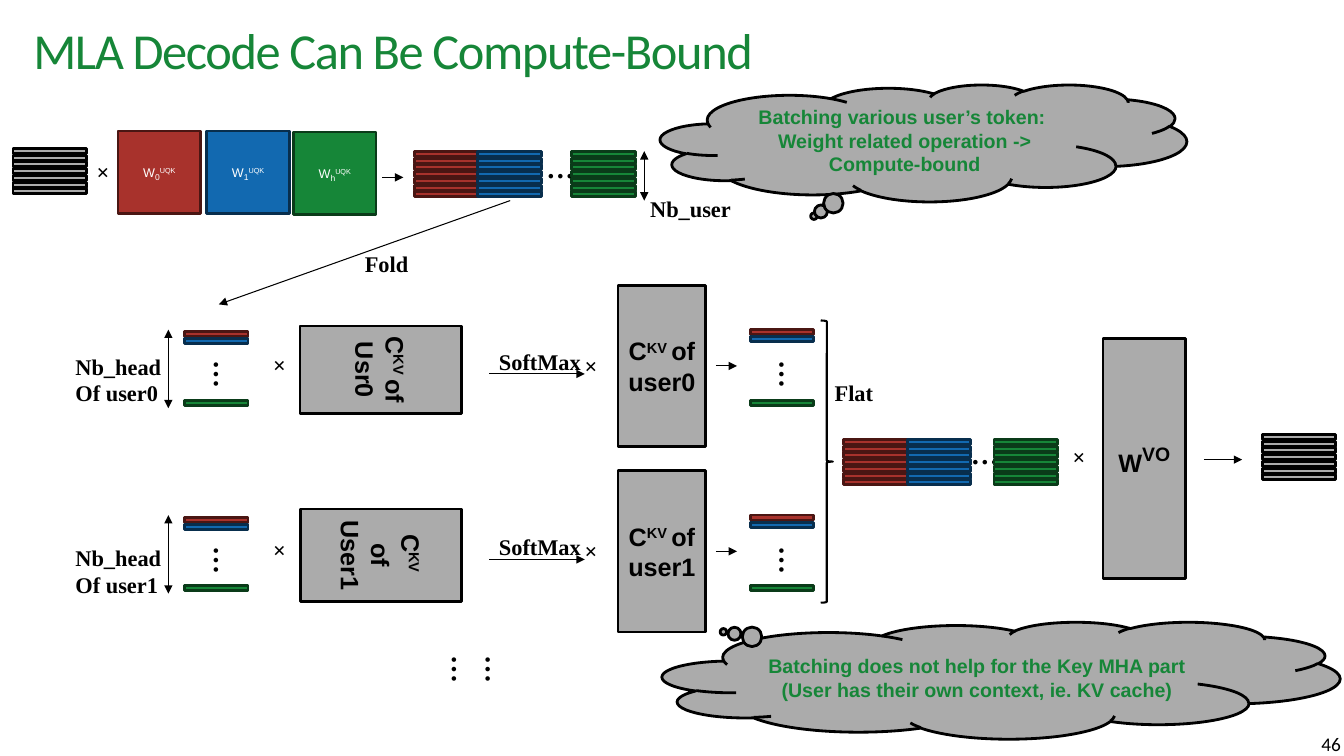
"""Builds the slide on compute-bound MLA decoding."""
from dataclasses import dataclass

from lxml import etree
from pptx import Presentation
from pptx.dml.color import RGBColor
from pptx.enum.shapes import MSO_CONNECTOR, MSO_SHAPE
from pptx.enum.text import MSO_ANCHOR, MSO_AUTO_SIZE, PP_ALIGN
from pptx.oxml.ns import qn
from pptx.util import Emu, Pt

RECTANGLE = MSO_SHAPE.RECTANGLE
CLOUD = MSO_SHAPE.CLOUD_CALLOUT
BRACE = MSO_SHAPE.RIGHT_BRACE
STRAIGHT = MSO_CONNECTOR.STRAIGHT
LEFT, CENTER, RIGHT = PP_ALIGN.LEFT, PP_ALIGN.CENTER, PP_ALIGN.RIGHT
TOP, MIDDLE, BOTTOM = MSO_ANCHOR.TOP, MSO_ANCHOR.MIDDLE, MSO_ANCHOR.BOTTOM
NO_AUTOFIT = MSO_AUTO_SIZE.NONE

EMU_PER_PX = 9144
SERIF, SANS, TITLE_FONT = "Times New Roman", "Arial", "Calibri"
COLORS = {
    "black": "000000", "white": "FFFFFF",
    "gray": "ABABAB", "gray edge": "000000",
    "red": "A8322C", "red edge": "4A1613",
    "blue": "1269B0", "blue edge": "082E4D",
    "green": "168638", "green edge": "0A3B19",
}
TOKEN_ROWS, ROW_PITCH = 7, 6.7
BAR_HEIGHT, HEAD_WIDTH, TOKEN_WIDTH = 5, 63, 73


@dataclass(frozen=True)
class Frame:
    """A rectangle in px."""
    left: int
    top: int
    width: int
    height: int


@dataclass(frozen=True)
class Span:
    """A stretch of text with its own size or baseline shift in percent."""
    text: str
    size: float | None = None
    baseline: int = 0


@dataclass(frozen=True)
class Stack:
    """A column of equal bars, one for each token."""
    left: int
    top: int
    width: int
    color: str


@dataclass(frozen=True)
class Weight:
    """A coloured weight matrix."""
    left: int
    top: int
    index: str
    color: str


@dataclass(frozen=True)
class UserRow:
    """The attention steps of one user."""
    top: int
    label_top: int
    label: str
    key_frame: Frame
    key_text: list
    value_name: str


STACKS = [
    Stack(13, 147, TOKEN_WIDTH, "gray"),
    Stack(411, 150, HEAD_WIDTH, "red"),
    Stack(474, 150, HEAD_WIDTH, "blue"),
    Stack(567, 150, HEAD_WIDTH, "green"),
    Stack(837, 436, HEAD_WIDTH, "red"),
    Stack(900, 436, HEAD_WIDTH, "blue"),
    Stack(986, 436, HEAD_WIDTH, "green"),
    Stack(1252, 431, TOKEN_WIDTH, "gray"),
]
WEIGHTS = [
    Weight(117, 130, "0", "red"),
    Weight(205, 130, "1", "blue"),
    Weight(291, 131, "h", "green"),
]
USER_ROWS = [
    UserRow(283, 345, "Nb_head\nOf user0", Frame(334, 287, 87, 160),
            [[Span("C"), Span("KV ", baseline=30), Span("of Usr0")]], "of user0"),
    UserRow(467, 535, "Nb_head\nOf user1", Frame(332, 471, 92, 160),
            [[Span("C"), Span("KV ", baseline=30)], [Span("of User1")]], "of user1"),
]


def px(length: float) -> Emu:
    """Turn px into EMU."""
    return Emu(round(length * EMU_PER_PX))


def write(shape, text, *, size=16, font=SERIF, color="black", bold=True,
          align=LEFT, anchor=TOP) -> None:
    """Fill a shape with plain text or with paragraphs of spans."""
    paragraphs = [[Span(row)] for row in text.split("\n")] if isinstance(text, str) else text
    frame = shape.text_frame
    frame.word_wrap = True
    frame.vertical_anchor = anchor
    for number, spans in enumerate(paragraphs):
        para = frame.add_paragraph() if number else frame.paragraphs[0]
        para.alignment = align
        for span in spans:
            run = para.add_run()
            run.text = span.text
            run.font.size = Pt(span.size or size)
            run.font.name = font
            run.font.bold = bold
            run.font.color.rgb = RGBColor.from_string(COLORS[color])
            if span.baseline:
                run.font._element.set("baseline", str(span.baseline * 1000))


def add_label(page, frame: Frame, text: str, *, rotation: int = 0, **style):
    """Add a text box."""
    box = page.shapes.add_textbox(px(frame.left), px(frame.top), px(frame.width), px(frame.height))
    box.rotation = rotation
    write(box, text, **style)
    return box


def add_block(page, frame: Frame, color: str, *, kind=RECTANGLE, rotation: int = 0):
    """Add a filled and outlined shape."""
    shape = page.shapes.add_shape(kind, px(frame.left), px(frame.top),
                                  px(frame.width), px(frame.height))
    shape.shadow.inherit = False
    shape.rotation = rotation
    shape.fill.solid()
    shape.fill.fore_color.rgb = RGBColor.from_string(COLORS[color])
    shape.line.color.rgb = RGBColor.from_string(COLORS[f"{color} edge"])
    shape.line.width = Pt(2)
    return shape


def add_arrow(page, x1: int, y1: int, x2: int, y2: int, *, double: bool = False) -> None:
    """Add a thin arrow, with a head at both ends if double."""
    arrow = page.shapes.add_connector(STRAIGHT, px(x1), px(y1), px(x2), px(y2))
    arrow.line.color.rgb = RGBColor.from_string(COLORS["black"])
    arrow.line.width = Pt(0.75)
    line = arrow.line._get_or_add_ln()
    for end in ("a:headEnd", "a:tailEnd") if double else ("a:tailEnd",):
        etree.SubElement(line, qn(end), type="triangle")
    etree.SubElement(arrow._element.spPr, qn("a:effectLst"))


def add_title(page, text: str) -> None:
    """Place and format the title placeholder."""
    title = page.shapes.title
    title.left, title.top, title.width, title.height = px(33), px(19), px(1273), px(68)
    write(title, text, size=36, font=TITLE_FONT, color="green", bold=False, anchor=MIDDLE)
    frame = title.text_frame
    frame.auto_size = NO_AUTOFIT
    frame.margin_left = frame.margin_right = frame.margin_top = frame.margin_bottom = 0
    para = frame.paragraphs[0]
    para.line_spacing = 0.9
    para.runs[0].font._element.set("spc", "-100")


def add_times(page, left: int, top: int) -> None:
    """Add a multiplication sign."""
    add_label(page, Frame(left, top, 32, 37), "×")


def add_dots(page, left: int, top: int, *, rotation: int = 0) -> None:
    """Add an ellipsis."""
    add_label(page, Frame(left, top, 48, 44), "…", size=20, rotation=rotation)


def add_heads(page, left: int, top: int, last_top: int) -> None:
    """Add the folded heads of one user: two bars, dots and the last bar."""
    for color, bar_top in (("red", top), ("blue", top + 7), ("green", last_top)):
        add_block(page, Frame(left, bar_top, HEAD_WIDTH, BAR_HEIGHT), color)
    add_dots(page, left + 16, last_top - 47, rotation=90)


def add_user_row(page, row: UserRow) -> None:
    """Add the attention steps of one user."""
    top = row.top
    add_label(page, Frame(65, row.label_top, 141, 64), row.label)
    add_arrow(page, 167, top + 44, 167, top + 122, double=True)
    add_heads(page, 183, top + 46, top + 114)
    add_times(page, 261, top + 60)
    key = add_block(page, row.key_frame, "gray", rotation=90)
    write(key, row.key_text, size=18, font=SANS, align=CENTER, anchor=MIDDLE)
    add_arrow(page, 485, top + 88, 580, top + 88)
    add_label(page, Frame(485, top + 57, 141, 37), "SoftMax")
    add_times(page, 570, top + 61)
    value = add_block(page, Frame(613, top, 87, 160), "gray")
    write(value, [[Span("C"), Span("KV ", baseline=30), Span(row.value_name)]],
          size=18, font=SANS, align=CENTER, anchor=MIDDLE)
    add_arrow(page, 710, top + 80, 731, top + 80)
    add_heads(page, 744, top + 44, top + 114)


def add_projections(page) -> None:
    """Add the weights, the token stacks and the arrows between them."""
    add_dots(page, 532, 144)
    add_dots(page, 953, 428)
    for stack in STACKS:
        for row in range(TOKEN_ROWS):
            bar_top = stack.top + round(row * ROW_PITCH)
            add_block(page, Frame(stack.left, bar_top, stack.width, BAR_HEIGHT), stack.color)
    for weight in WEIGHTS:
        block = add_block(page, Frame(weight.left, weight.top, 82, 82), weight.color)
        write(block, [[Span("W"), Span(weight.index, 10.5, -25), Span("UQK", baseline=30)]],
              size=9, font=SANS, color="white", bold=False, align=CENTER, anchor=MIDDLE)
    output = add_block(page, Frame(1094, 336, 82, 238), "gray")
    write(output, [[Span("W"), Span("VO", 24, 30)]], size=18, font=SANS,
          align=CENTER, anchor=MIDDLE)
    add_times(page, 86, 152)
    add_times(page, 1054, 435)
    add_arrow(page, 379, 176, 400, 176)
    add_arrow(page, 1194, 456, 1232, 456)
    add_arrow(page, 506, 199, 217, 302)
    add_arrow(page, 639, 150, 639, 199, double=True)
    for left, top, text in ((635, 189, "Nb_user"), (352, 243, "Fold"), (818, 371, "Flat")):
        add_label(page, Frame(left, top, 141, 37), text)


def add_cloud(page, frame: Frame, text: str):
    """Add a thought bubble."""
    cloud = add_block(page, frame, "gray", kind=CLOUD)
    write(cloud, text, size=14, font=SANS, color="green", align=CENTER, anchor=MIDDLE)
    return cloud


def main() -> None:
    """Build and save the deck."""
    deck = Presentation()
    deck.slide_width, deck.slide_height = px(1333), px(750)
    page = deck.slides.add_slide(deck.slide_layouts[5])
    add_title(page, "MLA Decode Can Be Compute-Bound")
    add_projections(page)
    for row in USER_ROWS:
        add_user_row(page, row)
    add_label(page, Frame(455, 656, 75, 44), "……", size=20, rotation=90)
    brace = add_block(page, Frame(814, 318, 12, 280), "gray", kind=BRACE)
    brace.fill.background()
    brace.line.width = Pt(1.5)
    add_cloud(page, Frame(655, 84, 522, 116),
              "Batching various user’s token: \nWeight related operation -> Compute-bound")
    lower = add_cloud(page, Frame(657, 617, 672, 116),
                      "Batching does not help for the Key MHA part\n"
                      "(User has their own context, ie. KV cache)")
    lower.adjustments[0], lower.adjustments[1] = -0.41, -0.415
    number = add_label(page, Frame(1247, 720, 86, 30), "46", size=13.8, font=TITLE_FONT,
                       bold=False, align=RIGHT, anchor=BOTTOM)
    number.text_frame.margin_right = px(3)
    number.text_frame.margin_bottom = px(1)
    deck.save("out.pptx")


if __name__ == "__main__":
    main()
